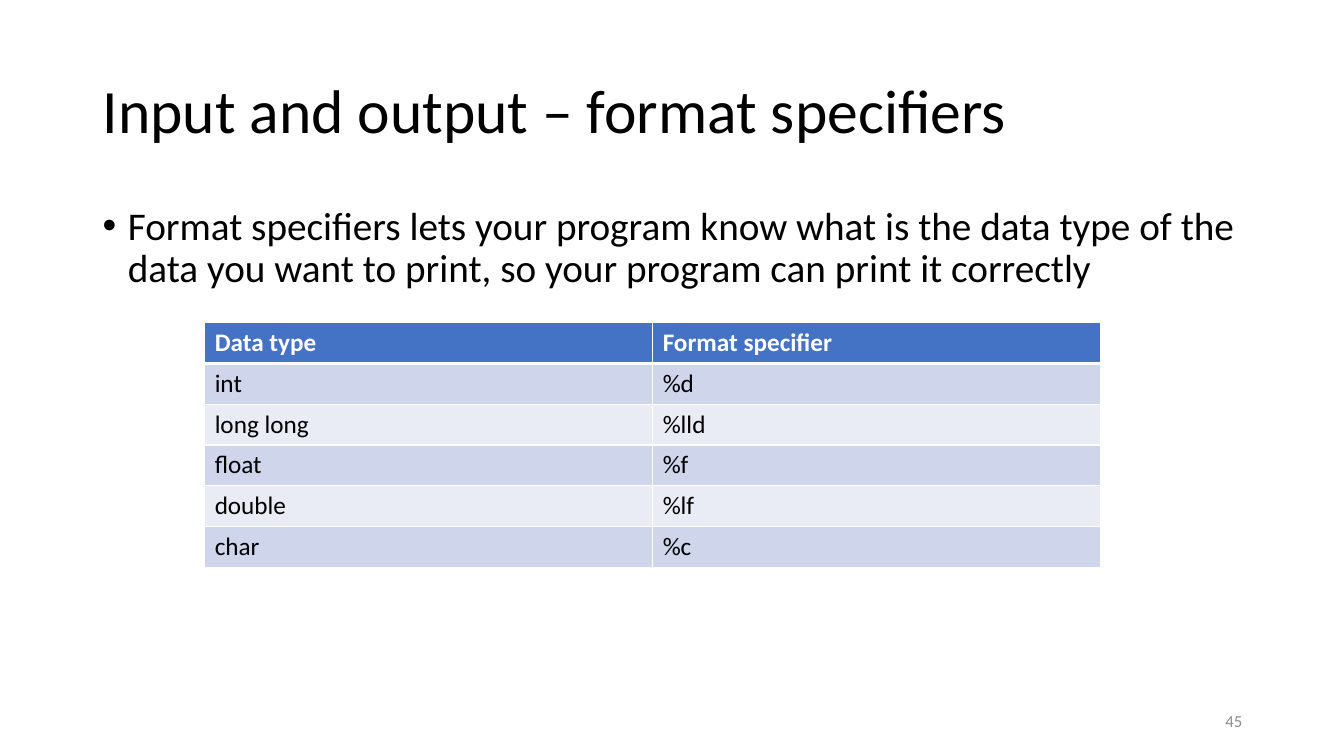
from lxml import etree
from pptx import Presentation, util as u
from pptx.dml.color import RGBColor
from pptx.enum import text
from pptx.oxml import ns

COLORS = {"black": "000000", "gray": "8C8C8C", "white": "FFFFFF",
          "header": "4472C4", "odd": "CFD5EA", "even": "E9EBF5"}
WIDTH, HEIGHT = u.Inches(13.33), u.Inches(7.5)
MARGIN, CONTENT_WIDTH = u.Inches(0.92), u.Inches(11.5)


def write(frame, words, size, color, bold=False, **formats):
    """Fill the first paragraph of a text frame and format it."""
    para = frame.paragraphs[0]
    for name, value in formats.items():
        setattr(para, name, value)
    span = para.add_run()
    span.text = words
    for name, value in {"name": "Calibri", "size": u.Pt(size), "bold": bold}.items():
        setattr(span.font, name, value)
    span.font.color.rgb = RGBColor.from_string(COLORS[color])
    return para


def add_box(page, left, top, width, height, anchor):
    box = page.shapes.add_textbox(left, top, width, height)
    box.text_frame.word_wrap = True
    box.text_frame.vertical_anchor = anchor
    return box.text_frame


deck = Presentation()
deck.slide_width, deck.slide_height = WIDTH, HEIGHT
page = deck.slides.add_slide(deck.slide_layouts[6])
middle, top = text.MSO_ANCHOR.MIDDLE, text.MSO_ANCHOR.TOP

# Title
title = add_box(page, MARGIN, u.Inches(0.4), CONTENT_WIDTH, u.Inches(1.45), middle)
write(title, "Input and output – format specifiers", 44, "black", line_spacing=0.9)

# Bulleted explanation
body = add_box(page, MARGIN, u.Inches(2), CONTENT_WIDTH, u.Inches(4.76), top)
explanation = write(
    body,
    "Format specifiers lets your program know what is the data type of the "
    "data you want to print, so your program can print it correctly",
    28, "black", line_spacing=0.9, space_before=u.Pt(10))
properties = explanation._p.get_or_add_pPr()
indent = u.Inches(0.25)
properties.set("marL", str(indent))
properties.set("indent", str(-indent))
etree.SubElement(properties, ns.qn("a:buFont"), typeface="Arial")
etree.SubElement(properties, ns.qn("a:buChar"), char="•")

# Table of data types
ROWS = [("Data type", "Format specifier"), ("int", "%d"), ("long long", "%lld"),
        ("float", "%f"), ("double", "%lf"), ("char", "%c")]
COLUMN_WIDTH, ROW_HEIGHT = WIDTH // 3, u.Inches(0.405)
table = page.shapes.add_table(len(ROWS), 2, u.Inches(2.03), u.Inches(3.2),
                              2 * COLUMN_WIDTH, len(ROWS) * ROW_HEIGHT).table
for column in table.columns:
    column.width = COLUMN_WIDTH
for r, row in enumerate(ROWS):
    table.rows[r].height = ROW_HEIGHT
    is_header = r == 0
    fill = "header" if is_header else "odd" if r % 2 else "even"
    widths = {"lnL": 1, "lnR": 1, "lnT": 3 if r == 1 else 1, "lnB": 3 if is_header else 1}
    for c, words in enumerate(row):
        cell = table.cell(r, c)
        write(cell.text_frame, words, 18, "white" if is_header else "black", is_header)
        cell_properties = cell._tc.get_or_add_tcPr()
        for edge, points in widths.items():
            line = etree.SubElement(cell_properties, ns.qn(f"a:{edge}"), w=str(u.Pt(points)))
            solid = etree.SubElement(line, ns.qn("a:solidFill"))
            etree.SubElement(solid, ns.qn("a:srgbClr"), val=COLORS["white"])
        cell.fill.solid()
        cell.fill.fore_color.rgb = RGBColor.from_string(COLORS[fill])

# Page number
number = add_box(page, u.Inches(9.42), u.Inches(6.95), u.Inches(3), u.Inches(0.4), middle)
write(number, "45", 12, "gray", alignment=text.PP_ALIGN.RIGHT)

deck.save("out.pptx")
